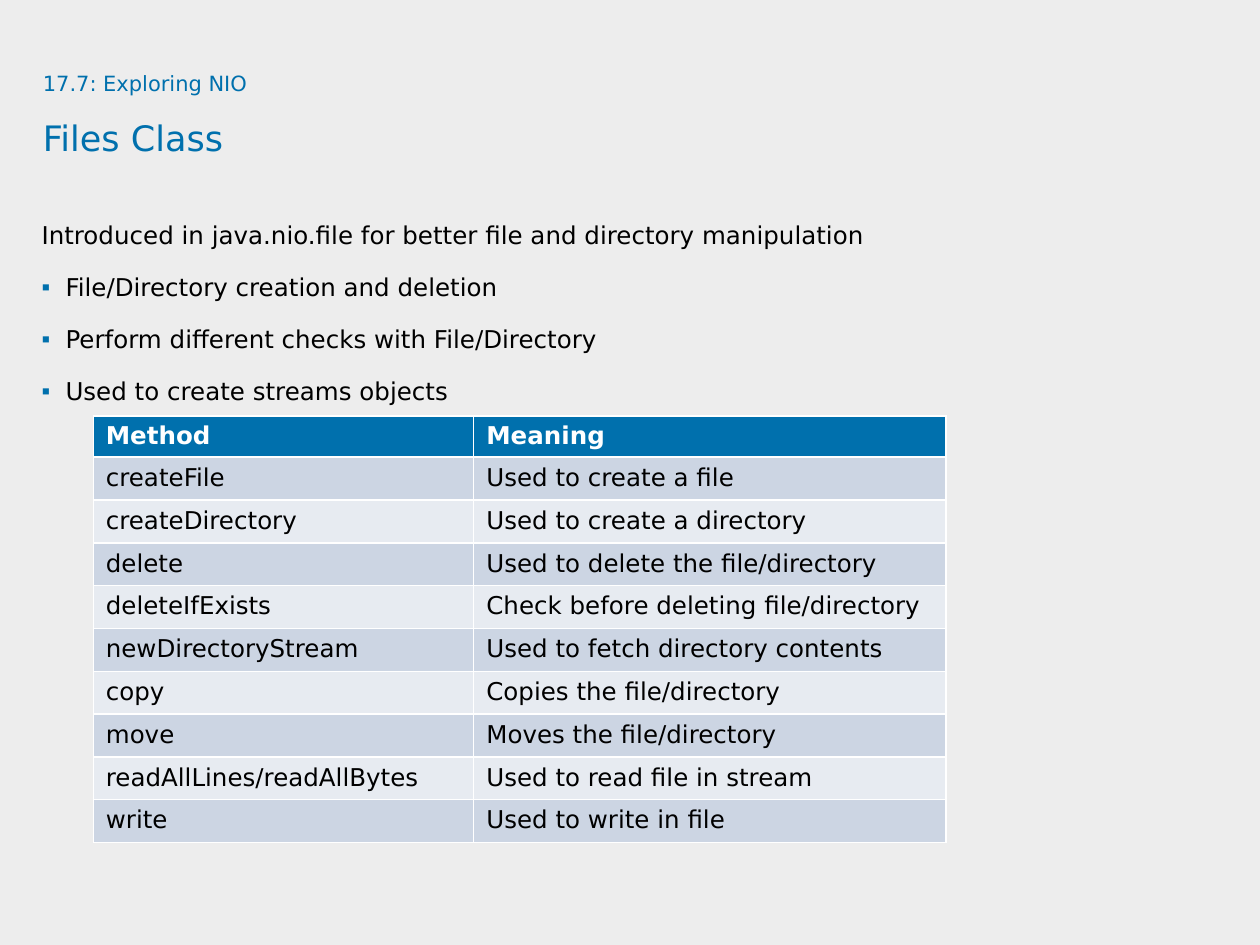
from lxml import etree
from pptx import Presentation
from pptx.dml.color import RGBColor
from pptx.enum.text import MSO_ANCHOR, MSO_AUTO_SIZE, PP_ALIGN
from pptx.oxml.ns import qn
from pptx.util import Inches, Pt

BLUE, BLACK, WHITE, GREY = "0070AD", "000000", "FFFFFF", "EDEDED"
BANDS = ["CCD5E3", "E7EBF1"]
TITLE = [("17.7: Exploring NIO", 12), ("Files Class", 20)]
INTRO = "Introduced in java.nio.file for better file and directory manipulation"
BULLETS = [
    "File/Directory creation and deletion",
    "Perform different checks with File/Directory",
    "Used to create streams objects",
]
METHODS = [
    ("Method", "Meaning"),
    ("createFile", "Used to create a file"),
    ("createDirectory", "Used to create a directory"),
    ("delete", "Used to delete the file/directory"),
    ("deleteIfExists", "Check before deleting file/directory"),
    ("newDirectoryStream", "Used to fetch directory contents"),
    ("copy", "Copies the file/directory"),
    ("move", "Moves the file/directory"),
    ("readAllLines/readAllBytes", "Used to read file in stream"),
    ("write", "Used to write in file"),
]
COLUMNS = [3.02, 3.75]
HEADER_HEIGHT, ROW_HEIGHT = 0.28, 0.34


def paint(fill, color):
    fill.solid()
    fill.fore_color.rgb = RGBColor.from_string(color)


def write(p, text, size, color, bold=False):
    r = p.add_run()
    r.text = text
    font = {"name": "DejaVu Sans", "size": Pt(size), "bold": bold}
    for name, value in font.items():
        setattr(r.font, name, value)
    paint(r.font.fill, color)


def place(sp, left, top, width, height):
    box = {"left": left, "top": top, "width": width, "height": height}
    for name, value in box.items():
        setattr(sp, name, Inches(value))
    tf = sp.text_frame
    frame = {
        "margin_left": 0, "margin_top": 0, "margin_right": 0, "margin_bottom": 0,
        "word_wrap": True, "auto_size": MSO_AUTO_SIZE.NONE,
        "vertical_anchor": MSO_ANCHOR.TOP,
    }
    for name, value in frame.items():
        setattr(tf, name, value)
    return tf


def next_paragraph(tf, index, after=0):
    p = tf.add_paragraph() if index else tf.paragraphs[0]
    layout = {"alignment": PP_ALIGN.LEFT, "line_spacing": 1.5,
              "space_before": Pt(0), "space_after": Pt(after)}
    for name, value in layout.items():
        setattr(p, name, value)
    return p


def set_bullet(p, char=None, indent=0):
    pPr = p._p.get_or_add_pPr()
    pPr.set("marL", str(Inches(indent)))
    pPr.set("indent", str(-Inches(indent)))
    if char:
        color = etree.SubElement(pPr, qn("a:buClr"))
        etree.SubElement(color, qn("a:srgbClr"), val=BLUE)
        etree.SubElement(pPr, qn("a:buChar"), char=char)
    else:
        etree.SubElement(pPr, qn("a:buNone"))


def add_title(s):
    tf = place(s.shapes.title, 0.34, 0.46, 9.09, 0.94)
    for i, (text, size) in enumerate(TITLE):
        write(next_paragraph(tf, i), text, size, BLUE)


def add_body(s):
    tf = place(s.placeholders[1], 0.33, 1.63, 9.67, 5.08)
    for i, text in enumerate([INTRO] + BULLETS):
        p = next_paragraph(tf, i, after=4.5)
        if i:
            p.level = 1
            set_bullet(p, "▪", 0.19)
        else:
            set_bullet(p)
        write(p, text, 14, BLACK)


def add_methods(s):
    heights = [HEADER_HEIGHT] + [ROW_HEIGHT] * (len(METHODS) - 1)
    table = s.shapes.add_table(
        len(METHODS), len(COLUMNS), Inches(0.74), Inches(3.3),
        Inches(sum(COLUMNS)), Inches(sum(heights))).table
    for column, width in zip(table.columns, COLUMNS):
        column.width = Inches(width)
    for i, (row, texts) in enumerate(zip(table.rows, METHODS)):
        row.height = Inches(heights[i])
        for cell, text in zip(row.cells, texts):
            paint(cell.fill, BANDS[(i - 1) % 2] if i else BLUE)
            write(cell.text_frame.paragraphs[0], text, 14,
                  BLACK if i else WHITE, bold=i == 0)


def main():
    prs = Presentation()
    prs.slide_width, prs.slide_height = Inches(10), Inches(7.5)
    s = prs.slides.add_slide(prs.slide_layouts[1])
    paint(s.background.fill, GREY)
    add_title(s)
    add_body(s)
    add_methods(s)
    prs.save("out.pptx")


if __name__ == "__main__":
    main()
